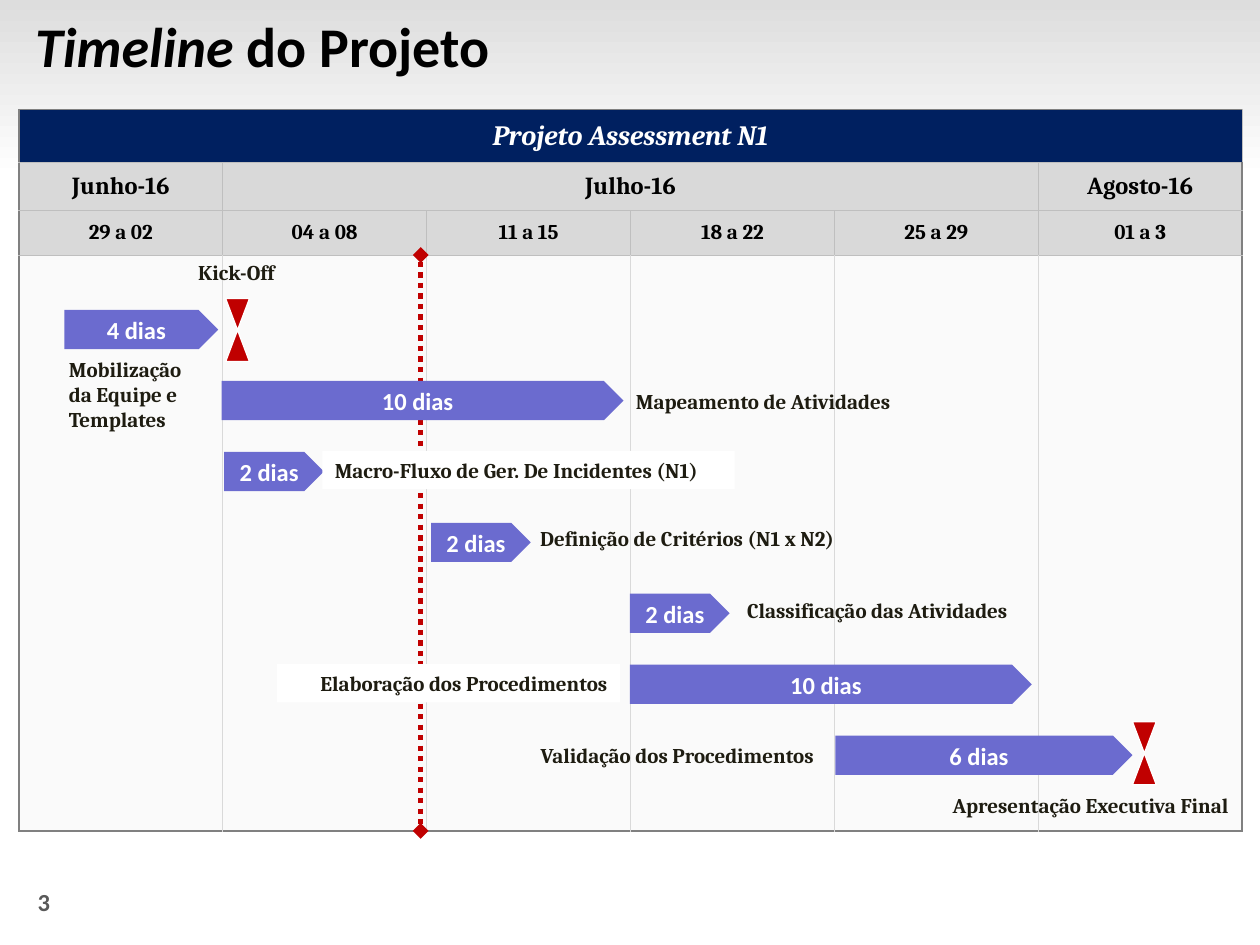
from lxml.etree import SubElement as Sub
from pptx import Presentation
from pptx.dml.color import RGBColor
from pptx.enum.dml import MSO_LINE as Dash
from pptx.enum.shapes import MSO_CONNECTOR as Conn, MSO_SHAPE as Kind
from pptx.enum.text import MSO_ANCHOR as Anchor, PP_ALIGN as Align
from pptx.oxml import parse_xml
from pptx.oxml.ns import nsdecls, qn
from pptx.util import Cm, Pt

# Content: lengths in cm
TITLE = [("Timeline", True), (" do Projeto", False)]
NUMBER = "3"
# Table rows: height, fill, font size, font colour, italic, (text, span) cells
ROWS = [
    (1.07, "002060", 16, "FFFFFF", True, [("Projeto Assessment N1", 6)]),
    (0.97, "D9D9D9", 14, "000000", False,
     [("Junho-16", 1), ("Julho-16", 4), ("Agosto-16", 1)]),
    (0.89, "D9D9D9", 12, "000000", False,
     [(week, 1) for week in ("29 a 02", "04 a 08", "11 a 15",
                             "18 a 22", "25 a 29", "01 a 3")]),
    (11.61, "FAFAFA", 12, "000000", False, [("", 1)] * 6),
]
# Bars, one per step down: text, left, width
BARS = [("4 dias", 1.3, 3.1), ("10 dias", 4.47, 8.1), ("2 dias", 4.52, 2.01),
        ("2 dias", 8.69, 2.01), ("2 dias", 12.7, 2.01),
        ("10 dias", 12.7, 8.1), ("6 dias", 16.84, 5.99)]
# Labels: text, left, top, width, height, alignment, fill
LABELS = [
    ("Mobilização da Equipe e Templates", 1.14, 7.04, 3.25, 1.8, "LEFT", None),
    ("Kick-Off", 3.61, 5.11, 2.31, 0.77, "CENTER", None),
    ("Apresentação Executiva Final", 17.37, 15.85, 7.65, 0.77, "RIGHT", None),
    ("Mapeamento de Atividades", 12.57, 7.7, 11.84, 0.77, "LEFT", None),
    ("Macro-Fluxo de Ger. De Incidentes (N1)",
     6.5, 9.09, 8.31, 0.77, "LEFT", "FFFFFF"),
    ("Definição de Critérios (N1 x N2)",
     10.64, 10.46, 11.84, 0.77, "LEFT", None),
    ("Classificação das Atividades", 14.81, 11.91, 8.79, 0.77, "LEFT", None),
    ("Elaboração dos Procedimentos",
     5.59, 13.39, 6.91, 0.77, "RIGHT", "FFFFFF"),
    ("Validação dos Procedimentos", 6.65, 14.83, 10.01, 0.77, "RIGHT", None),
]
MARKS = [(4.55, 6.02), (22.83, 14.55)]
LEFT, TOP, COL = 0.38, 2.21, 4.11
STEP, FIRST, THICK = 1.43, 6.25, 0.79
TODAY = 8.48
RED = "C00000"


def rgb(text):
    return RGBColor.from_string(text)


def put(thing, values):
    for name, value in values.items():
        setattr(thing, name, value)


def write(frame, runs, size, face, color, align=Align.LEFT, **form):
    put(frame, {"word_wrap": True, "vertical_anchor": Anchor.MIDDLE, **form})
    para = frame.paragraphs[0]
    para.alignment = align
    for text, slant in runs:
        run = para.add_run()
        run.text = text
        put(run.font, {"size": Pt(size), "name": face, "bold": True,
                       "italic": slant})
        run.font.color.rgb = rgb(color)


def draw(kind, left, top, width, height, fill, line=None):
    shape = slide.shapes.add_shape(kind, Cm(left), Cm(top), Cm(width), Cm(height))
    shape.shadow.inherit = False
    if fill:
        shape.fill.solid()
        shape.fill.fore_color.rgb = rgb(fill)
    if line:
        shape.line.color.rgb = rgb(line)
        shape.line.width = Pt(0.75)
    else:
        shape.line.fill.background()
    return shape


def text_box(left, top, width, height):
    return slide.shapes.add_textbox(
        Cm(left), Cm(top), Cm(width), Cm(height)).text_frame


def edge(cell, order, side, color, width):
    line = parse_xml(
        f'<a:{side} {nsdecls("a")} w="{Pt(width)}"><a:solidFill>'
        f'<a:srgbClr val="{color}"/></a:solidFill></a:{side}>')
    cell._tc.get_or_add_tcPr().insert(order, line)


deck = Presentation()
put(deck, {"slide_width": Cm(25.4), "slide_height": Cm(19.05)})
slide = deck.slides.add_slide(deck.slide_layouts[6])

# Shaded band, page number and title
band = draw(Kind.RECTANGLE, 0, 0, 25.4, 3.61, None)
band.fill.gradient()
band.fill.gradient_angle = 270
for stop, color in zip(band.fill.gradient_stops, ("DDDDDD", "FFFFFF")):
    stop.color.rgb = rgb(color)
write(text_box(0.51, 17.75, 2.01, 0.86), [(NUMBER, False)], 14, "Calibri", "595959")
write(text_box(-0.05, 0, 20.32, 1.8), TITLE, 32, "Calibri", "000000",
      margin_left=Cm(0.76))

# Calendar table
tall = sum(row[0] for row in ROWS)
grid = slide.shapes.add_table(
    len(ROWS), 6, Cm(LEFT), Cm(TOP), Cm(6 * COL), Cm(tall)).table
put(grid, {"first_row": False, "horz_banding": False})
for col in grid.columns:
    col.width = Cm(COL)
last = len(ROWS) - 1
for r, (height, fill, size, color, slant, cells) in enumerate(ROWS):
    grid.rows[r].height = Cm(height)
    for c in range(6):
        cell = grid.cell(r, c)
        cell.fill.solid()
        cell.fill.fore_color.rgb = rgb(fill)
        outer = {"lnL": c == 0, "lnR": c == 5, "lnT": r == 0, "lnB": r == last}
        for order, (side, rim) in enumerate(outer.items()):
            if rim:
                pen = ("808080", 1)
            elif r == last and side in ("lnL", "lnR"):
                pen = ("D9D9D9", 1)
            else:
                pen = ("BFBFBF", 0.5)
            edge(cell, order, side, *pen)
    c = 0
    for text, span in cells:
        cell = grid.cell(r, c)
        if span > 1:
            cell.merge(grid.cell(r, c + span - 1))
        if text:
            cell.vertical_anchor = Anchor.MIDDLE
            write(cell.text_frame, [(text, slant)], size, "Cambria", color,
                  Align.CENTER)
        c += span

# Dotted line for the current date
today = slide.shapes.add_connector(
    Conn.STRAIGHT, Cm(TODAY), Cm(TOP + tall - ROWS[-1][0]),
    Cm(TODAY), Cm(TOP + tall))
today.line.color.rgb = rgb(RED)
put(today.line, {"width": Pt(3), "dash_style": Dash.ROUND_DOT})
pen = today.line._get_or_add_ln()
for end in ("a:headEnd", "a:tailEnd"):
    Sub(pen, qn(end), type="diamond")
Sub(today._element.spPr, qn("a:effectLst"))

# Task bars
for i, (text, left, width) in enumerate(BARS):
    bar = draw(Kind.PENTAGON, left, FIRST + i * STEP, width, THICK, "6B6BCF")
    write(bar.text_frame, [(text, False)], 14, "Calibri", "FFFFFF", Align.CENTER,
          margin_left=0, margin_right=0, margin_top=0, margin_bottom=0)

# Task labels
for text, *area, side, fill in LABELS:
    frame = (draw(Kind.RECTANGLE, *area, fill).text_frame if fill
             else text_box(*area))
    write(frame, [(text, False)], 12, "Cambria", "1E1C11", Align[side])

# Milestones
for left, top in MARKS:
    draw(Kind.FLOWCHART_COLLATE, left, top, 0.48, 1.27, RED, "FFFFFF")

deck.save("out.pptx")
